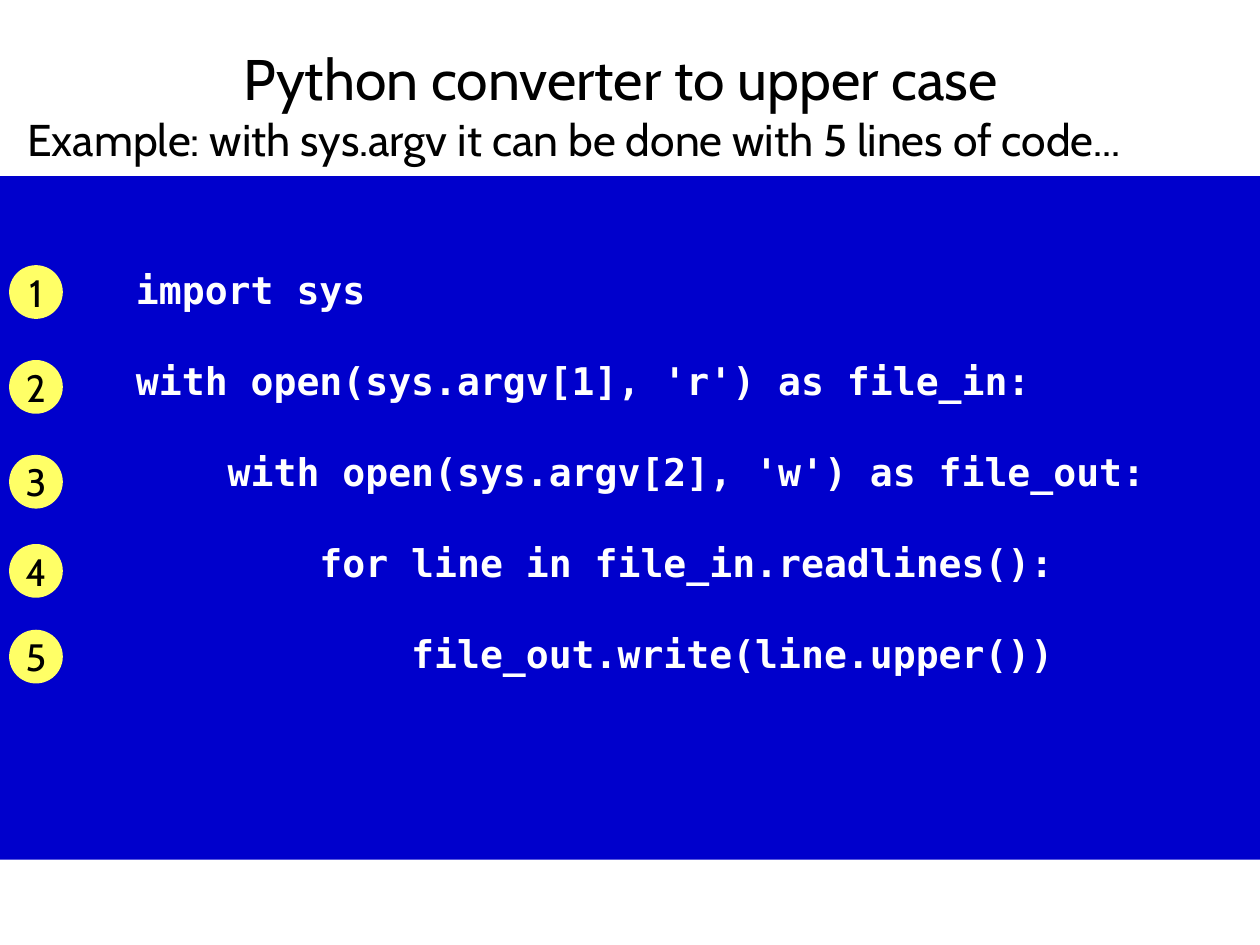
from pptx import Presentation
from pptx.dml.color import RGBColor
from pptx.enum import shapes, text
from pptx.util import Cm, Inches, Pt

WIDTH, HEIGHT = Cm(28), Cm(21)
TITLE = "Python converter to upper case"
SUBTITLE = "Example: with sys.argv it can be done with 5 lines of code..."
CODE = [
    "import sys",
    "with open(sys.argv[1], 'r') as file_in:",
    "    with open(sys.argv[2], 'w') as file_out:",
    "        for line in file_in.readlines():",
    "            file_out.write(line.upper())",
]
BADGE_TOPS = [2.32, 3.15, 3.98, 4.76, 5.51]
BADGE_LEFT, BADGE_SIZE = 0.08, 0.47
PANEL_TOP, PANEL_HEIGHT = 1.54, 5.98
CODE_MARGINS = (1.19, 0.79, 0.1, 0.05)
CODE_GAP = 28.5
BLUE, YELLOW, BLACK, WHITE = "0000CC", "FFFF66", "000000", "FFFFFF"
LEFT, CENTER = text.PP_ALIGN.LEFT, text.PP_ALIGN.CENTER
TOP, MIDDLE = text.MSO_ANCHOR.TOP, text.MSO_ANCHOR.MIDDLE


def color(value):
    """Turn a hex string into a colour."""
    return RGBColor.from_string(value)


def write(shape, lines, size, ink=BLACK, font="Cabin", bold=False, align=LEFT,
          anchor=TOP, margins=(0, 0, 0, 0), wrap=True, gap=0):
    """Write one paragraph per line into a shape."""
    frame = shape.text_frame
    frame.word_wrap = wrap
    frame.vertical_anchor = anchor
    (frame.margin_left, frame.margin_top,
     frame.margin_right, frame.margin_bottom) = map(Inches, margins)
    for index, line in enumerate(lines):
        paragraph = frame.add_paragraph() if index else frame.paragraphs[0]
        paragraph.alignment = align
        if index:
            paragraph.space_before = Pt(gap)
        run = paragraph.add_run()
        run.text = line
        run.font.name, run.font.size, run.font.bold = font, Pt(size), bold
        run.font.color.rgb = color(ink)


def add_filled(slide, kind, box, fill):
    """Add a filled shape without an outline."""
    shape = slide.shapes.add_shape(kind, *map(Inches, box))
    shape.shadow.inherit = False
    shape.fill.solid()
    shape.fill.fore_color.rgb = color(fill)
    shape.line.fill.background()
    return shape


def add_label(slide, box, line, size, **style):
    """Add a text box holding one line."""
    write(slide.shapes.add_textbox(*map(Inches, box)), [line], size, **style)


def main():
    """Build the slide and save it."""
    presentation = Presentation()
    presentation.slide_width = WIDTH
    presentation.slide_height = HEIGHT
    slide = presentation.slides.add_slide(presentation.slide_layouts[6])

    add_label(slide, (0.47, 0.4, 9.92, 0.55), TITLE, 36, align=CENTER, anchor=MIDDLE)
    panel = add_filled(slide, shapes.MSO_SHAPE.RECTANGLE,
                       (0, PANEL_TOP, WIDTH.inches, PANEL_HEIGHT), BLUE)
    write(panel, CODE, 24, ink=WHITE, font="DejaVu Sans Mono", bold=True,
          margins=CODE_MARGINS, gap=CODE_GAP)
    add_label(slide, (0.24, 0.98, 10.63, 0.51), SUBTITLE, 28)

    for number, top in enumerate(BADGE_TOPS, 1):
        badge = add_filled(slide, shapes.MSO_SHAPE.OVAL,
                           (BADGE_LEFT, top, BADGE_SIZE, BADGE_SIZE), YELLOW)
        write(badge, [str(number)], 24, align=CENTER, anchor=MIDDLE,
              margins=(0.1, 0.05, 0.1, 0.05), wrap=False)

    presentation.save("out.pptx")


if __name__ == "__main__":
    main()
